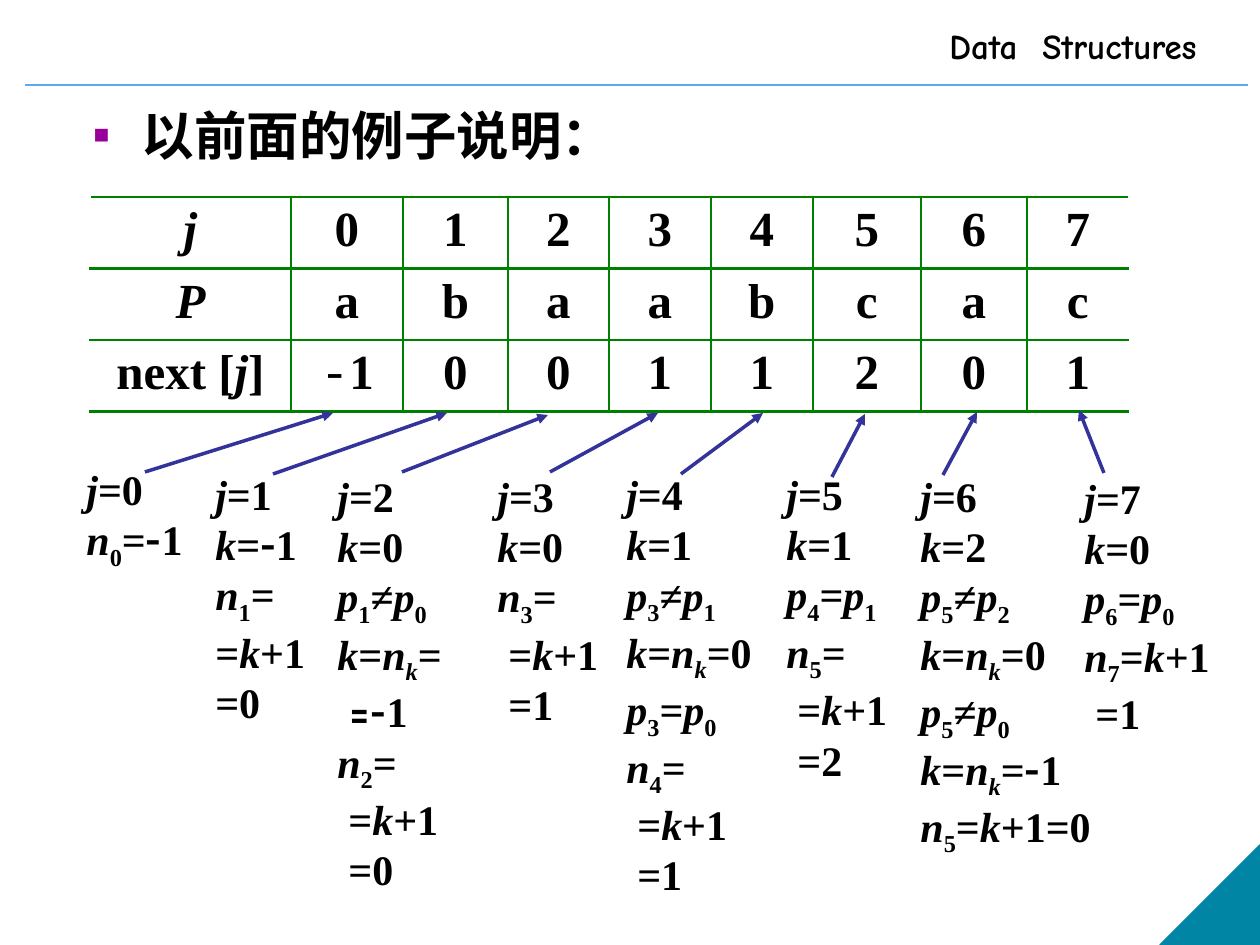
from itertools import groupby

from lxml import etree
from pptx import Presentation
from pptx.dml.color import RGBColor
from pptx.enum.shapes import MSO_CONNECTOR, MSO_SHAPE
from pptx.enum.text import MSO_ANCHOR, MSO_AUTO_SIZE, PP_ALIGN
from pptx.oxml.ns import qn
from pptx.util import Pt

PX = 914400 // 126
STRAIGHT = MSO_CONNECTOR.STRAIGHT
RIGHT_TRIANGLE = MSO_SHAPE.RIGHT_TRIANGLE
TOP = MSO_ANCHOR.TOP
FIT_SHAPE, NO_FIT = MSO_AUTO_SIZE.SHAPE_TO_FIT_TEXT, MSO_AUTO_SIZE.NONE
CENTER = PP_ALIGN.CENTER

SERIF, SANS = "Times New Roman", "Karla"
GREEN, TEAL, SKY, INDIGO = "008000", "0085A4", "5AAAED", "333399"

color = RGBColor.from_string


def write(paragraph, text, font=SERIF, size=24, italics="", marked_font=SANS, marked_bold=True):
    """Add runs: "_" lowers the next character, "~" sets it in marked_font, and letters in italics slant."""
    styled = []
    mark = ""
    for character in text:
        if character in "_~":
            mark = character
        else:
            styled.append((character, (mark, character in italics)))
            mark = ""
    for (mark, slanted), group in groupby(styled, key=lambda pair: pair[1]):
        run = paragraph.add_run()
        run.text = "".join(character for character, style in group)
        run.font.name = marked_font if mark == "~" else font
        run.font.size = Pt(size)
        run.font.bold = marked_bold if mark == "~" else True
        run.font.italic = slanted
        run.font.color.rgb = color("000000")
        if mark == "_":
            run.font._element.set("baseline", "-25000")


presentation = Presentation()
presentation.slide_width, presentation.slide_height = 1260 * PX, 945 * PX
slide = presentation.slides.add_slide(presentation.slide_layouts[1])
shapes = slide.shapes
title = shapes.title
title._element.getparent().remove(title._element)

# Page frame
corner = shapes.add_shape(RIGHT_TRIANGLE, 1160 * PX, 845 * PX, 100 * PX, 100 * PX)
corner.shadow.inherit = False
corner.fill.solid()
corner.fill.fore_color.rgb = color(TEAL)
corner.line.color.rgb = color(TEAL)
corner.line.width = Pt(0.75)
corner._element.spPr.xfrm.set("flipH", "1")

header = shapes.add_textbox(937 * PX, 18 * PX, 323 * PX, 54 * PX)
header.text_frame.word_wrap = True
write(header.text_frame.paragraphs[0], "Data  Structures", font="Comic Neue", size=20)

# Lead-in bullet
body = slide.placeholders[1]
body.left, body.top, body.width, body.height = 81 * PX, 97 * PX, 1092 * PX, 93 * PX
body.text_frame.auto_size = NO_FIT
body.text_frame.vertical_anchor = TOP
paragraph = body.text_frame.paragraphs[0]
paragraph.space_before = Pt(0)
properties = paragraph._p.get_or_add_pPr()
properties.set("marL", str(48 * PX))
properties.set("indent", str(-48 * PX))
bullet_color = etree.SubElement(properties, qn("a:buClr"))
etree.SubElement(bullet_color, qn("a:srgbClr"), val="990099")
etree.SubElement(properties, qn("a:buSzPct"), val="50000")
etree.SubElement(properties, qn("a:buChar"), char="■")
write(paragraph, "以前面的例子说明：", font=SANS, size=30)

# Table of next values
rows = [
    ["j", "0", "1", "2", "3", "4", "5", "6", "7"],
    ["P", "a", "b", "a", "a", "b", "c", "a", "c"],
    ["next [j]", "~-1", "0", "0", "1", "1", "2", "0", "1"],
]
column_widths = [201, 112, 105, 101, 102, 102, 108, 106, 102]
row_height = 71
frame = shapes.add_table(len(rows), len(column_widths), 90 * PX, 197 * PX,
                         sum(column_widths) * PX, len(rows) * row_height * PX)
table = frame.table
table.first_row = False
table.horz_banding = False
for column, width in zip(table.columns, column_widths):
    column.width = width * PX
last_column = len(column_widths) - 1
for row_index, row in enumerate(rows):
    table.rows[row_index].height = row_height * PX
    for column_index, text in enumerate(row):
        cell = table.cell(row_index, column_index)
        paragraph = cell.text_frame.paragraphs[0]
        paragraph.alignment = CENTER
        write(paragraph, text, size=28, italics="jP", marked_font="Courier New", marked_bold=False)
        cell_properties = cell._tc.get_or_add_tcPr()
        sides = ["lnL"] * (column_index > 0) + ["lnR"] * (column_index < last_column) + ["lnT", "lnB"]
        for side in sides:
            border = etree.SubElement(cell_properties, qn(f"a:{side}"), w=str(Pt(1.5)))
            border_fill = etree.SubElement(border, qn("a:solidFill"))
            etree.SubElement(border_fill, qn("a:srgbClr"), val=GREEN)
        cell.fill.background()

# Derivation of each value: left, top, width, lines (a leading space indents the line)
derivations = [
    (74, 457, 132, ["j=0", "n_0=~-1"]),
    (203, 462, 116, ["j=1", "k=~-1", "n_1=", "=k+1", "=0"]),
    (325, 464, 131, ["j=2", "k=0", "p_1≠p_0", "k=n_k=", " ~=~-1", "n_2=", " =k+1", " =0"]),
    (485, 464, 126, ["j=3", "k=0", "n_3=", " =k+1", " =1"]),
    (614, 462, 152, ["j=4", "k=1", "p_3≠p_1", "k=n_k=0", "p_3=p_0", "n_4=", " =k+1", " =1"]),
    (774, 462, 126, ["j=5", "k=1", "p_4=p_1", "n_5=", " =k+1", " =2"]),
    (908, 464, 198, ["j=6", "k=2", "p_5≠p_2", "k=n_k=0", "p_5≠p_0", "k=n_k=~-1", "n_5=k+1=0"]),
    (1072, 466, 152, ["j=7", "k=0", "p_6=p_0", "n_7=k+1", " =1"]),
]
for left, top, width, lines in derivations:
    box = shapes.add_textbox(left * PX, top * PX, width * PX, (50 * len(lines) + 13) * PX)
    text_frame = box.text_frame
    text_frame.word_wrap = False
    text_frame.auto_size = FIT_SHAPE
    for index, line in enumerate(lines):
        paragraph = text_frame.add_paragraph() if index else text_frame.paragraphs[0]
        if line.startswith(" "):
            paragraph._p.get_or_add_pPr().set("marL", str(11 * PX))
        write(paragraph, line.strip(), italics="jknp")

# Header rule, then an arrow from each derivation to its column
arrows = [
    (145, 472, 333, 413), (273, 474, 447, 413), (402, 472, 548, 415), (550, 472, 658, 413),
    (681, 474, 763, 413), (832, 477, 865, 414), (943, 475, 977, 412), (1104, 473, 1079, 410),
]
connections = [((25, 85, 1248, 85), SKY, 1, False)] + [(ends, INDIGO, 2, True) for ends in arrows]
for ends, line_color, weight, has_head in connections:
    connector = shapes.add_connector(STRAIGHT, *(value * PX for value in ends))
    connector.line.color.rgb = color(line_color)
    connector.line.width = Pt(weight)
    if has_head:
        etree.SubElement(connector.line._get_or_add_ln(), qn("a:tailEnd"), type="triangle")
    etree.SubElement(connector._element.spPr, qn("a:effectLst"))

presentation.save("out.pptx")
